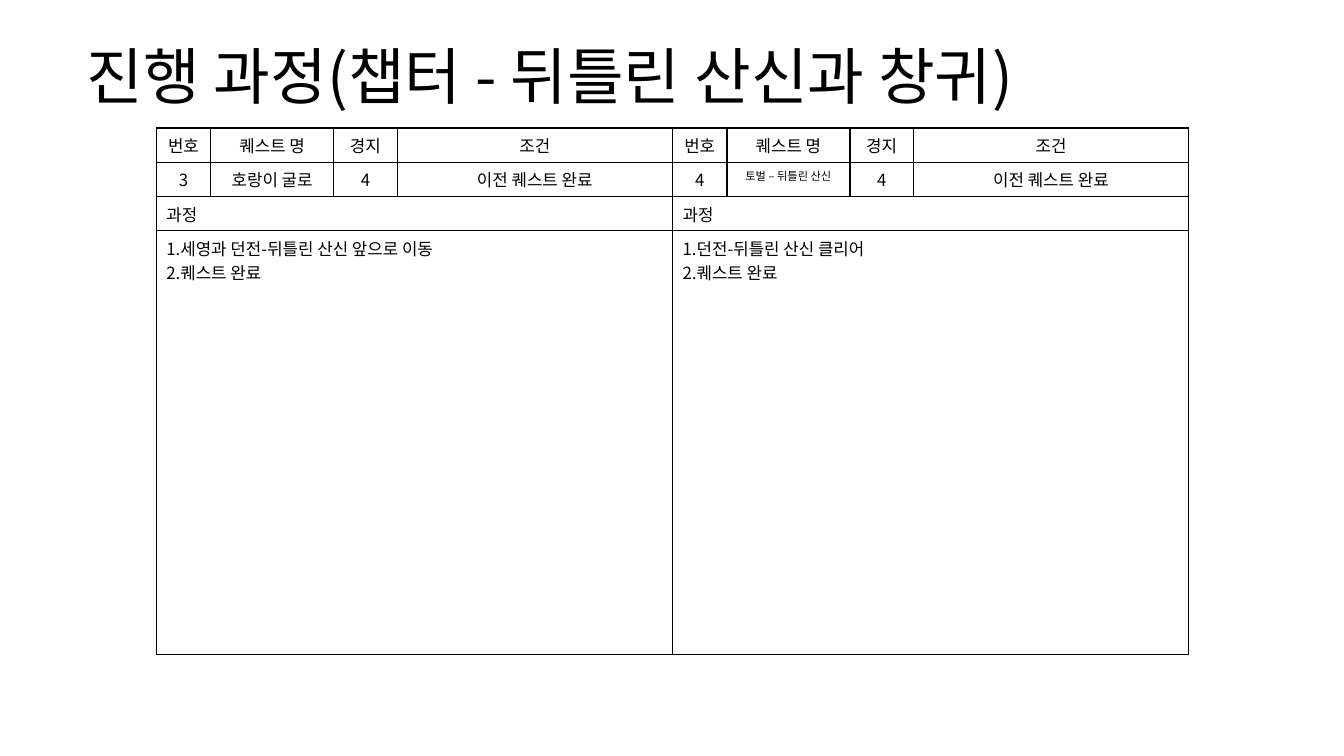
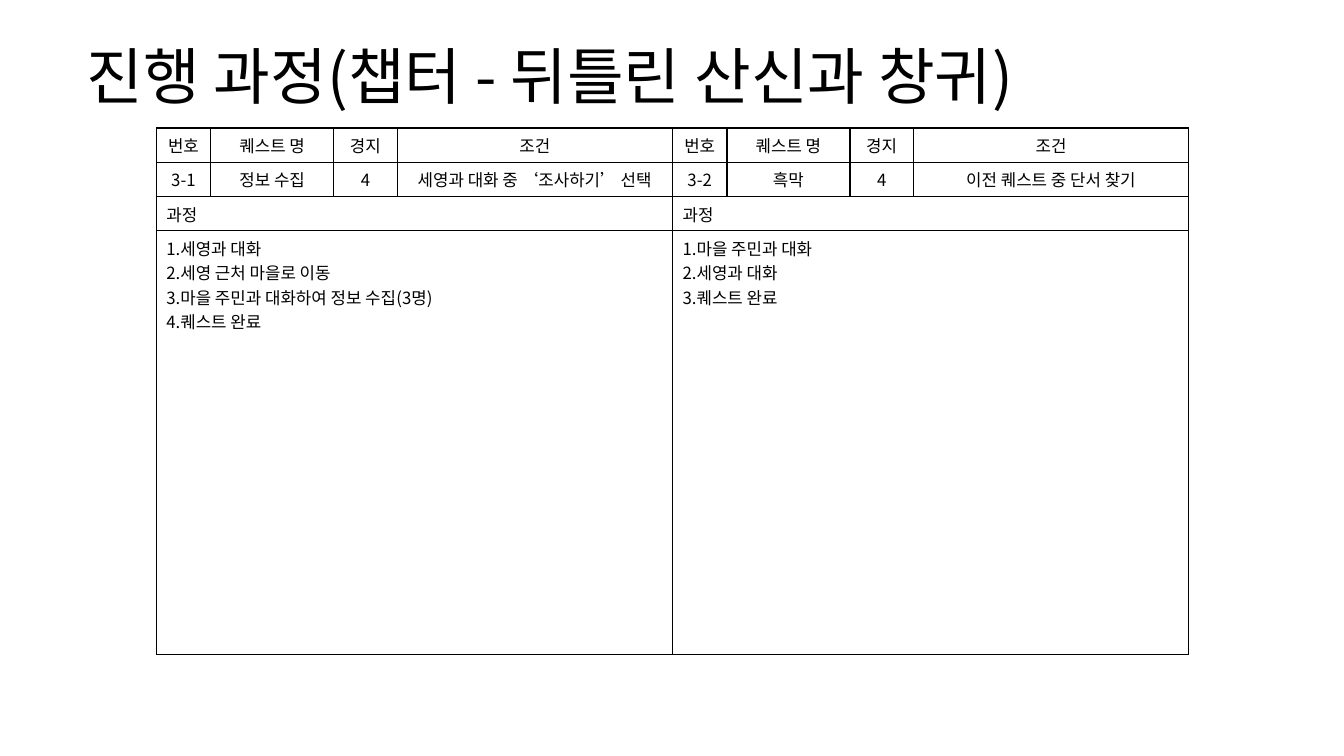
from dataclasses import dataclass
from typing import Any

import lxml.etree
import pptx
import pptx.dml.color
import pptx.enum.text
import pptx.oxml.ns
import pptx.util

EMU_PER_PX = 9144
ALIGN = pptx.enum.text.PP_ALIGN
ANCHOR = pptx.enum.text.MSO_ANCHOR


@dataclass(frozen=True)
class Theme:
    font: str = "Noto Sans CJK KR"
    ink: str = "000000"
    title_size: int = 44
    body_size: int = 12
    small_size: int = 8
    border_width: int = 1


@dataclass(frozen=True)
class Quest:
    number: str
    name: str
    level: str
    condition: str
    steps: tuple[str, ...]
    name_size: int = Theme.body_size


THEME = Theme()
SLIDE_WIDTH, SLIDE_HEIGHT = 1333, 750
TITLE = "진행 과정(챕터 - 뒤틀린 산신과 창귀)"
TITLE_BOX = (76, 32, 1181, 94)
TABLE_LEFT, TABLE_TOP = 155, 127
COLUMN_WIDTHS = (54, 122, 63, 273)
ROW_HEIGHTS = (34, 34, 34, 420)
HEADERS = ("번호", "퀘스트 명", "경지", "조건")
PROCESS_LABEL = "과정"

QUEST_PAIRS = (
    (
        Quest("3", "호랑이 굴로", "4", "이전 퀘스트 완료",
              ("세영과 던전-뒤틀린 산신 앞으로 이동", "퀘스트 완료")),
        Quest("4", "토벌 – 뒤틀린 산신", "4", "이전 퀘스트 완료",
              ("던전-뒤틀린 산신 클리어", "퀘스트 완료"), THEME.small_size),
    ),
    (
        Quest("3-1", "정보 수집", "4", "세영과 대화 중 ‘조사하기’ 선택",
              ("세영과 대화", "세영 근처 마을로 이동",
               "마을 주민과 대화하여 정보 수집(3명)", "퀘스트 완료")),
        Quest("3-2", "흑막", "4", "이전 퀘스트 중 단서 찾기",
              ("마을 주민과 대화", "세영과 대화", "퀘스트 완료")),
    ),
)


def px(length: int) -> pptx.util.Emu:
    return pptx.util.Emu(length * EMU_PER_PX)


def add_element(parent: Any, tag: str, **attributes: str) -> Any:
    return lxml.etree.SubElement(parent, pptx.oxml.ns.qn(tag), attributes)


def write_text(
    text_frame: Any,
    *lines: str,
    size: int = THEME.body_size,
    align: Any = ALIGN.LEFT,
    line_spacing: float = 1.0,
) -> None:
    for index, line in enumerate(lines):
        paragraph = text_frame.add_paragraph() if index else text_frame.paragraphs[0]
        paragraph.alignment = align
        paragraph.line_spacing = line_spacing
        run = paragraph.add_run()
        run.text = line
        run.font.size = pptx.util.Pt(size)
        run.font.color.rgb = pptx.dml.color.RGBColor.from_string(THEME.ink)
        run.font.name = THEME.font
        add_element(run._r.get_or_add_rPr(), "a:ea", typeface=THEME.font)


def style_cell(cell: Any) -> None:
    properties = cell._tc.get_or_add_tcPr()
    width = str(pptx.util.Pt(THEME.border_width))
    for side in ("a:lnL", "a:lnR", "a:lnT", "a:lnB"):
        border = add_element(properties, side, w=width)
        fill = add_element(border, "a:solidFill")
        add_element(fill, "a:srgbClr", val=THEME.ink)
    cell.fill.background()


def add_title(slide: Any) -> None:
    text_frame = slide.shapes.add_textbox(*map(px, TITLE_BOX)).text_frame
    text_frame.word_wrap = True
    text_frame.vertical_anchor = ANCHOR.MIDDLE
    write_text(text_frame, TITLE, size=THEME.title_size, line_spacing=0.9)


def add_quest_table(slide: Any, quest: Quest, left: int) -> None:
    table = slide.shapes.add_table(
        len(ROW_HEIGHTS), len(COLUMN_WIDTHS), px(left), px(TABLE_TOP),
        px(sum(COLUMN_WIDTHS)), px(sum(ROW_HEIGHTS)),
    ).table
    table.first_row = False
    table.horz_banding = False
    for column, width in zip(table.columns, COLUMN_WIDTHS):
        column.width = px(width)
    for row, height in zip(table.rows, ROW_HEIGHTS):
        row.height = px(height)
    for cell in table.iter_cells():
        style_cell(cell)

    values = (quest.number, quest.name, quest.level, quest.condition)
    for index, (header, value) in enumerate(zip(HEADERS, values)):
        size = quest.name_size if value == quest.name else THEME.body_size
        write_text(table.cell(0, index).text_frame, header, align=ALIGN.CENTER)
        write_text(table.cell(1, index).text_frame, value, size=size, align=ALIGN.CENTER)

    steps = [f"{number}.{step}" for number, step in enumerate(quest.steps, 1)]
    for row_index, lines in ((2, [PROCESS_LABEL]), (3, steps)):
        cell = table.cell(row_index, 0)
        cell.merge(table.cell(row_index, len(COLUMN_WIDTHS) - 1))
        write_text(cell.text_frame, *lines)


def main() -> None:
    presentation = pptx.Presentation()
    presentation.slide_width = px(SLIDE_WIDTH)
    presentation.slide_height = px(SLIDE_HEIGHT)
    for quests in QUEST_PAIRS:
        slide = presentation.slides.add_slide(presentation.slide_layouts[6])
        add_title(slide)
        for index, quest in enumerate(quests):
            add_quest_table(slide, quest, TABLE_LEFT + index * sum(COLUMN_WIDTHS))
    presentation.save("out.pptx")


if __name__ == "__main__":
    main()
